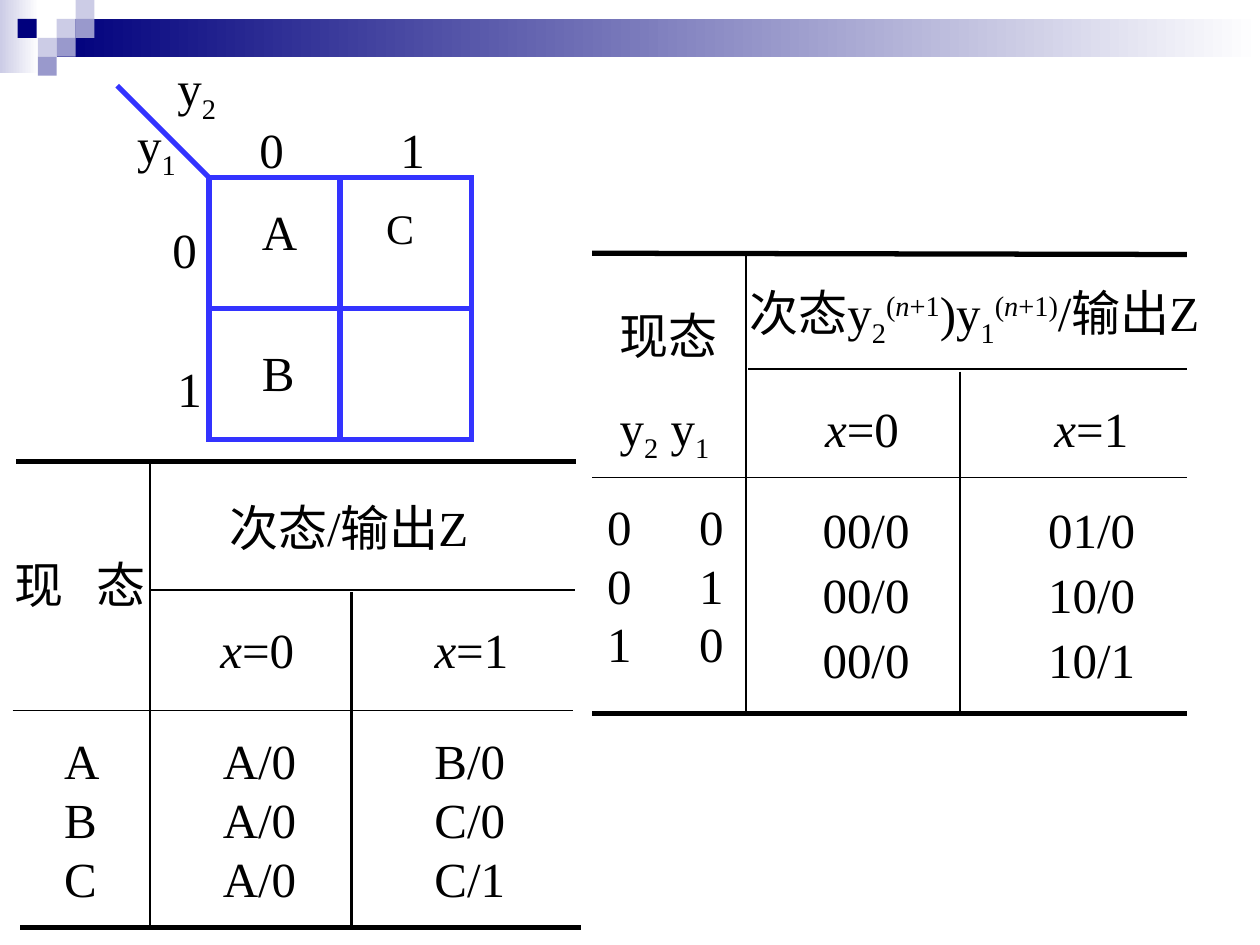
import dataclasses

import lxml.etree
import pptx
import pptx.dml.color
import pptx.enum.shapes
import pptx.enum.text
import pptx.oxml.ns
import pptx.util

PX = 9144  # EMU per px, 100 px to the inch


@dataclasses.dataclass(frozen=True)
class Theme:
    font: str = "Times New Roman"
    body: int = 28
    small: int = 24
    ink: str = "000000"
    grid: str = "3333FF"
    white: str = "FFFFFF"
    navy: str = "00007D"
    pale: str = "CCCCE6"
    mid: str = "9999CC"
    heavy: float = 3
    medium: float = 1.5
    thin: float = 1


theme = Theme()
rgb = pptx.dml.color.RGBColor.from_string
qn = pptx.oxml.ns.qn
RECT = pptx.enum.shapes.MSO_SHAPE.RECTANGLE
LEFT, CENTER = pptx.enum.text.PP_ALIGN.LEFT, pptx.enum.text.PP_ALIGN.CENTER
BASELINES = {"sub": "-25000", "sup": "30000"}

deck = pptx.Presentation()
deck.slide_width, deck.slide_height = 1000 * PX, 750 * PX
slide = deck.slides.add_slide(deck.slide_layouts[6])
shapes = slide.shapes


def add_rule(x1, y1, x2, y2, weight, color=theme.ink):
    rule = shapes.add_connector(
        pptx.enum.shapes.MSO_CONNECTOR.STRAIGHT, x1 * PX, y1 * PX, x2 * PX, y2 * PX)
    rule.line.color.rgb = rgb(color)
    rule.line.width = pptx.util.Pt(weight)
    lxml.etree.SubElement(rule._element.spPr, qn("a:effectLst"))


def add_label(left, top, width, height, lines, size=theme.body, spacing=None,
              align=LEFT, tab=None):
    """Each line is a string or a list of (text, styles) runs; tab is a stop in px."""
    label = shapes.add_textbox(left * PX, top * PX, width * PX, height * PX)
    frame = label.text_frame
    frame.word_wrap = True
    frame.auto_size = pptx.enum.text.MSO_AUTO_SIZE.NONE
    if align == LEFT:
        frame.margin_right = 0  # spare room keeps tight labels on one line
    for index, line in enumerate(lines):
        paragraph = frame.add_paragraph() if index else frame.paragraphs[0]
        paragraph.alignment = align
        if spacing:
            paragraph.line_spacing = spacing
        if tab:
            stops = lxml.etree.SubElement(paragraph._p.get_or_add_pPr(), qn("a:tabLst"))
            lxml.etree.SubElement(stops, qn("a:tab"), pos=str(tab * PX), algn="l")
        for text, styles in [(line, "")] if isinstance(line, str) else line:
            run = paragraph.add_run()
            run.text = text
            run.font.name = theme.font
            run.font.size = pptx.util.Pt(size)
            run.font.color.rgb = rgb(theme.ink)
            if "italic" in styles:
                run.font.italic = True
            for style, baseline in BASELINES.items():
                if style in styles:
                    run.font._element.set("baseline", baseline)


# Banner: gradient bars, then the mosaic of small squares
for left, top, width, height, color in [
    (0, 0, 31, 58, theme.pale),
    (45, 15, 955, 30, theme.navy),
]:
    bar = shapes.add_shape(RECT, left * PX, top * PX, width * PX, height * PX)
    bar.shadow.inherit = False
    bar.line.fill.background()
    bar.fill.gradient()
    bar.fill.gradient_angle = 180
    for stop, stop_color in zip(bar.fill.gradient_stops, (theme.white, color)):
        stop.color.rgb = rgb(stop_color)

for left, top, color in [
    (45, 15, theme.pale), (60, 0, theme.pale), (60, 15, theme.mid),
    (30, 30, theme.pale), (14, 15, theme.navy), (45, 30, theme.mid),
    (30, 45, theme.mid),
]:
    tile = shapes.add_shape(RECT, left * PX, top * PX, 15 * PX, 15 * PX)
    tile.shadow.inherit = False
    tile.line.fill.background()
    tile.fill.solid()
    tile.fill.fore_color.rgb = rgb(color)

y1 = [("y", ""), ("1", "sub")]
y2 = [("y", ""), ("2", "sub")]
x_is_0 = [("x", "italic"), ("=0", "")]
x_is_1 = [("x", "italic"), ("=1", "")]
next_power = [("n", "sup italic"), ("+1", "sup")]

# Encoded state table
for rule in [
    (470, 201, 942, 202, theme.heavy), (470, 566, 942, 566, theme.heavy),
    (592, 201, 592, 564, theme.medium), (762, 295, 762, 566, theme.medium),
    (594, 293, 942, 293, theme.thin), (470, 379, 942, 379, theme.thin),
]:
    add_rule(*rule)

add_label(482, 214, 98, 160, ["现态", y2 + [(" y", ""), ("1", "sub")]], spacing=1.5)
add_label(585, 219, 405, 63, [
    [("次态y", ""), ("2", "sub"), ("(", "sup")] + next_power
    + [(")y", ""), ("1", "sub"), ("(", "sup")] + next_power
    + [(")", "sup"), ("/输出Z", "")]])
add_label(645, 311, 78, 57, [x_is_0])
add_label(827, 311, 78, 57, [x_is_1])
add_label(472, 389, 112, 150, ["0\t0", "0\t1", "1\t0"], tab=73)
add_label(643, 387, 89, 164, ["00/0"] * 3, spacing=1.1)
add_label(822, 387, 89, 164, ["01/0", "10/0", "10/1"], spacing=1.1)

# Symbolic state table
for rule in [
    (13, 366, 457, 366, theme.heavy), (16, 736, 461, 736, theme.heavy),
    (119, 366, 119, 734, theme.medium), (279, 470, 279, 734, theme.medium),
    (119, 468, 456, 468, theme.thin), (10, 564, 455, 564, theme.thin),
]:
    add_rule(*rule)

add_label(2, 435, 124, 57, ["现\t态"], tab=65)
add_label(172, 390, 238, 57, ["次态/输出Z"])
add_label(165, 487, 78, 57, [x_is_0])
add_label(335, 487, 78, 57, [x_is_1])
for left, width, states in [
    (41, 48, ["A", "B", "C"]),
    (167, 78, ["A/0"] * 3),
    (335, 76, ["B/0", "C/0", "C/1"]),
]:
    add_label(left, 575, width, 150, states)

# Karnaugh map of the state assignment
CELL = 104
for row in range(2):
    for column in range(2):
        cell = shapes.add_shape(RECT, (166 + column * CELL) * PX,
                                (141 + row * CELL) * PX, CELL * PX, CELL * PX)
        cell.shadow.inherit = False
        cell.fill.background()
        cell.line.color.rgb = rgb(theme.grid)
        cell.line.width = pptx.util.Pt(theme.heavy)
        lxml.etree.SubElement(cell._element.spPr.find(qn("a:ln")), qn("a:miter"),
                              lim="800000")
add_rule(93, 68, 168, 143, theme.heavy, theme.grid)

for left, top, width, text in [
    (198, 155, 48, "A"), (198, 267, 46, "B"),
    (196, 90, 39, "0"), (308, 90, 39, "1"),
    (127, 169, 39, "0"), (131, 280, 39, "1"),
]:
    add_label(left, top, width, 57, [text])
add_label(99, 86, 50, 63, [y1])
add_label(131, 41, 53, 63, [y2])
add_label(288, 156, 59, 50, ["C"], size=theme.small, align=CENTER)

deck.save("out.pptx")
